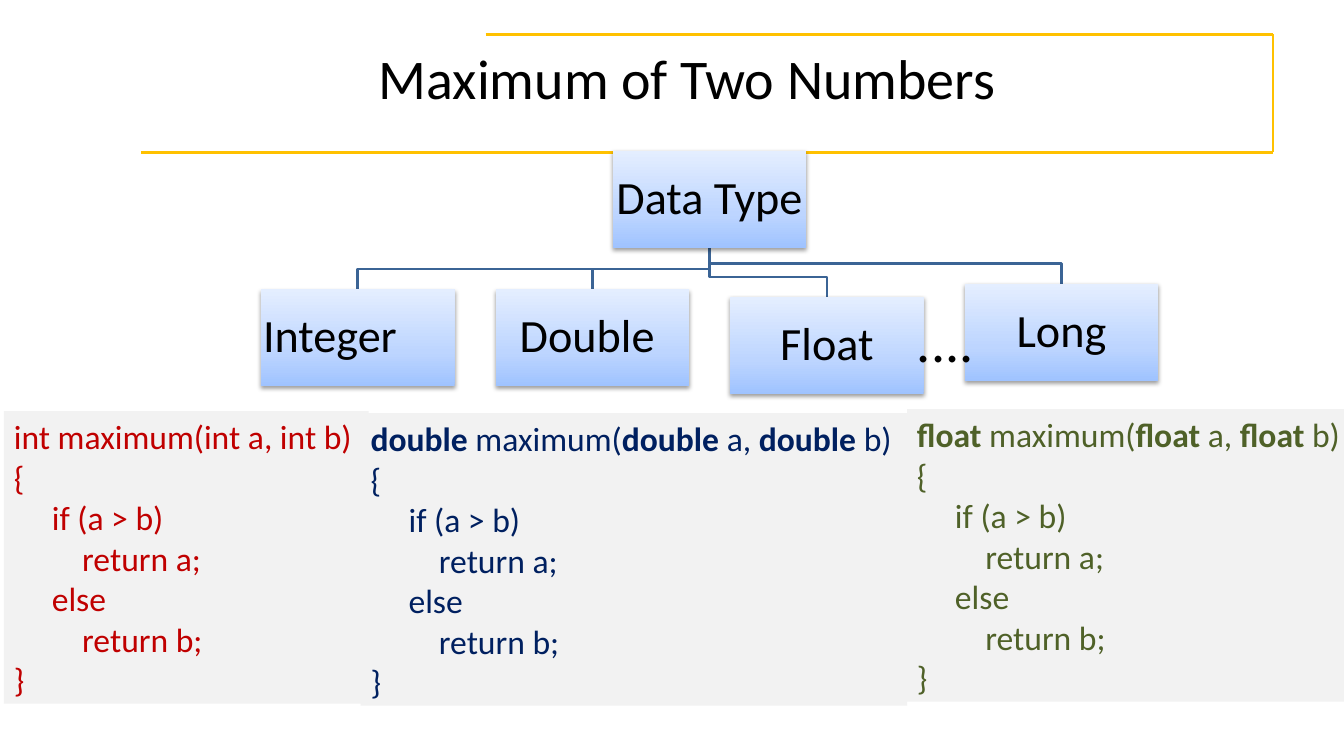
"""Build the slide on finding the maximum of two numbers for several data types."""
from dataclasses import dataclass

from lxml import etree
from pptx import Presentation
from pptx.dml.color import RGBColor
from pptx.enum.shapes import MSO_CONNECTOR, MSO_SHAPE
from pptx.enum.text import MSO_ANCHOR, PP_ALIGN
from pptx.oxml import parse_xml
from pptx.oxml.ns import nsdecls, qn
from pptx.util import Cm, Pt

RECTANGLE = MSO_SHAPE.RECTANGLE
STRAIGHT = MSO_CONNECTOR.STRAIGHT
TOP, MIDDLE = MSO_ANCHOR.TOP, MSO_ANCHOR.MIDDLE
LEFT, CENTER = PP_ALIGN.LEFT, PP_ALIGN.CENTER


@dataclass(frozen=True)
class Theme:
    font: str = "Calibri"
    black: str = "000000"
    frame: str = "FFC100"
    branch: str = "3B6495"
    panel: str = "F2F2F2"
    red: str = "C00000"
    navy: str = "002060"
    olive: str = "4F6128"
    gradient: tuple = ((0, "9FC3FF"), (35, "BDD5FF"), (100, "E4EEFF"))
    title_size: Pt = Pt(40)
    node_size: Pt = Pt(33)
    code_size: Pt = Pt(24)
    code_pitch: Pt = Pt(28.9)
    line_width: Pt = Pt(2)


theme = Theme()


def write(box, lines, size, color, spacing, anchor=MIDDLE, align=LEFT):
    """Fill a box with paragraphs, each a list of (text, bold) spans."""
    frame = box.text_frame
    frame.word_wrap = True
    frame.vertical_anchor = anchor
    for index, spans in enumerate(lines):
        para = frame.add_paragraph() if index else frame.paragraphs[0]
        para.alignment = align
        para.line_spacing = spacing
        para.font.name = theme.font
        para.font.size = size
        para.font.color.rgb = RGBColor.from_string(color)
        for text, bold in spans:
            span = para.add_run()
            span.text = text
            if bold:
                span.font.bold = True


def add_node(page, left, top, label, align):
    """Add a shaded data type box with a soft shadow."""
    node = page.shapes.add_shape(RECTANGLE, Cm(left), Cm(top), Cm(NODE_WIDTH), Cm(NODE_HEIGHT))
    node.line.fill.background()
    node.shadow.inherit = False
    stops = "".join(
        f'<a:gs pos="{position * 1000}"><a:srgbClr val="{color}"/></a:gs>'
        for position, color in theme.gradient
    )
    properties = node.element.spPr
    properties.find(qn("a:ln")).addprevious(parse_xml(
        f'<a:gradFill {nsdecls("a")} rotWithShape="1"><a:gsLst>{stops}</a:gsLst>'
        '<a:lin ang="16200000" scaled="0"/></a:gradFill>'
    ))
    properties.find(qn("a:effectLst")).append(parse_xml(
        f'<a:outerShdw {nsdecls("a")} blurRad="40000" dist="20000" dir="5400000" rotWithShape="0">'
        f'<a:srgbClr val="{theme.black}"><a:alpha val="38000"/></a:srgbClr></a:outerShdw>'
    ))
    frame = node.text_frame
    frame.margin_left = frame.margin_right = frame.margin_top = frame.margin_bottom = Cm(0.05)
    write(node, [[(label, False)]], theme.node_size, theme.black, 0.9, align=align)


deck = Presentation()
deck.slide_width, deck.slide_height = Cm(33.87), Cm(19.05)
page = deck.slides.add_slide(deck.slide_layouts[6])

FRAME_POINTS = [(12.24, 0.86), (32.08, 0.86), (32.08, 3.84), (3.56, 3.84)]
for start, end in zip(FRAME_POINTS, FRAME_POINTS[1:]):
    edge = page.shapes.add_connector(STRAIGHT, *map(Cm, start + end))
    edge.line.color.rgb = RGBColor.from_string(theme.frame)
    edge.line.width = theme.line_width
    etree.SubElement(edge.element.spPr, qn("a:effectLst"))

title = page.shapes.add_textbox(Cm(9.3), Cm(0.43), Cm(23.88), Cm(3.18))
write(title, [[("Maximum of Two Numbers", False)]], theme.title_size, theme.black, 0.95)

NODE_WIDTH, NODE_HEIGHT = 4.88, 2.44
ROOT_LEFT, ROOT_TOP = 15.44, 3.81
FIRST_LEFT, NODE_STEP, DROP = 6.58, 5.91, 0.51
DATA_TYPES = [
    ("Integer", 7.29, LEFT),
    ("Double ", 7.29, CENTER),
    ("Float", 7.49, CENTER),
    ("Long", 7.16, CENTER),
]
root_center = ROOT_LEFT + NODE_WIDTH / 2
root_bottom = ROOT_TOP + NODE_HEIGHT
for column, (label, top, align) in enumerate(DATA_TYPES):
    center = FIRST_LEFT + column * NODE_STEP + NODE_WIDTH / 2
    corners = [(root_center, top - DROP), (center, top - DROP), (center, top)]
    builder = page.shapes.build_freeform(Cm(root_center), Cm(root_bottom))
    builder.add_line_segments([(Cm(x), Cm(y)) for x, y in corners], close=False)
    branch = builder.convert_to_shape()
    branch.fill.background()
    branch.line.color.rgb = RGBColor.from_string(theme.branch)
    branch.line.width = theme.line_width
    branch.shadow.inherit = False

add_node(page, ROOT_LEFT, ROOT_TOP, "Data Type", CENTER)
for column, (label, top, align) in enumerate(DATA_TYPES):
    add_node(page, FIRST_LEFT + column * NODE_STEP, top, label, align)

dots = page.shapes.add_textbox(Cm(22.86), Cm(7.06), Cm(3.81), Cm(3.18))
write(dots, [[("....", False)]], theme.title_size, theme.black, 0.95)

BODY = ["{", "     if (a > b)", "         return a;", "     else", "         return b;", "}"]
LISTINGS = [
    ("int", False, theme.red, 0.1, 10.36, 9.19),
    ("double", True, theme.navy, 9.09, 10.41, 13.77),
    ("float", True, theme.olive, 22.86, 10.31, 11.33),
]
for keyword, bold, color, left, top, width in LISTINGS:
    panel = page.shapes.add_shape(RECTANGLE, Cm(left), Cm(top), Cm(width), Cm(7.37))
    panel.fill.solid()
    panel.fill.fore_color.rgb = RGBColor.from_string(theme.panel)
    panel.line.fill.background()
    panel.shadow.inherit = False
    signature = [(keyword, bold), (" maximum(", False), (keyword, bold),
                 (" a, ", False), (keyword, bold), (" b)", False)]
    lines = [signature] + [[(text, False)] for text in BODY]
    write(panel, lines, theme.code_size, color, theme.code_pitch, anchor=TOP)

deck.save("out.pptx")
